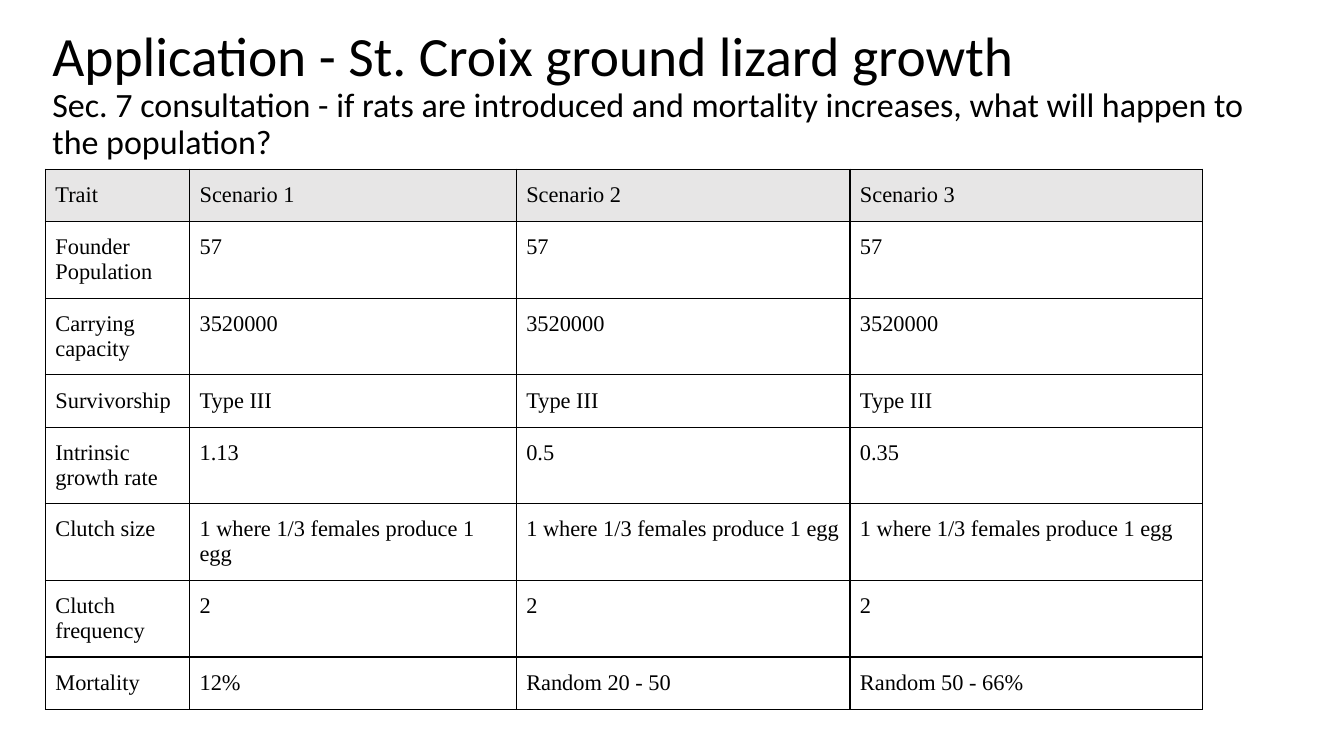
"""Build the lizard growth scenario slide."""
from dataclasses import dataclass

from lxml.etree import SubElement
from pptx import Presentation
from pptx.dml.color import RGBColor
from pptx.enum.text import MSO_ANCHOR as Anchor, MSO_AUTO_SIZE as Fit, PP_ALIGN as Align
from pptx.oxml.ns import qn
from pptx.util import Pt

SCALE = 9144
BLACK = RGBColor(0x00, 0x00, 0x00)
GREY = RGBColor(0xE7, 0xE6, 0xE6)
SERIF = "Times New Roman"
SANS = "Calibri"


@dataclass(frozen=True)
class Row:
    cells: tuple[str, ...]
    high: int = 76
    fill: RGBColor | None = None


COLS = (143, 324, 331, 350)
ROWS = (
    Row(("Trait", "Scenario 1", "Scenario 2", "Scenario 3"), 52, GREY),
    Row(("Founder Population",) + ("57",) * 3),
    Row(("Carrying capacity",) + ("3520000",) * 3),
    Row(("Survivorship",) + ("Type III",) * 3, 52),
    Row(("Intrinsic growth rate", "1.13", "0.5", "0.35")),
    Row(("Clutch size",) + ("1 where 1/3 females produce 1 egg",) * 3),
    Row(("Clutch frequency",) + ("2",) * 3),
    Row(("Mortality", "12%", "Random 20 - 50", "Random 50 - 66%"), 52),
)


def px(size: int) -> int:
    return size * SCALE


def write(para, text: str, *, size: float, font: str, space: float = 1.0) -> None:
    para.alignment = Align.LEFT
    para.line_spacing = space
    run = para.add_run()
    run.text = text
    run.font.size = Pt(size)
    run.font.name = font
    run.font.bold = False
    run.font.color.rgb = BLACK


def inset(box, side: int, end: int) -> None:
    box.margin_left = box.margin_right = px(side)
    box.margin_top = box.margin_bottom = px(end)


def edge(cell) -> None:
    props = cell._tc.get_or_add_tcPr()
    for spot, side in enumerate(("lnL", "lnR", "lnT", "lnB")):
        line = props.makeelement(qn(f"a:{side}"), {"w": str(Pt(1))})
        fill = SubElement(line, qn("a:solidFill"))
        SubElement(fill, qn("a:srgbClr"), val=str(BLACK))
        props.insert(spot, line)


def draw_title(slide) -> None:
    title = slide.shapes.title
    title.left, title.top, title.width, title.height = map(px, (45, 52, 1242, 84))
    frame = title.text_frame
    frame.word_wrap = True
    frame.auto_size = Fit.NONE
    frame.vertical_anchor = Anchor.MIDDLE
    inset(frame, 7, 7)
    write(frame.paragraphs[0], "Application - St. Croix ground lizard growth",
          size=39.6, font=SANS, space=0.9)
    write(frame.add_paragraph(),
          "Sec. 7 consultation - if rats are introduced and mortality increases, "
          "what will happen to the population?", size=24.3, font=SANS, space=0.9)


def draw_table(slide) -> None:
    high = sum(row.high for row in ROWS)
    table = slide.shapes.add_table(len(ROWS), len(COLS), px(45), px(168),
                                   px(sum(COLS)), px(high)).table
    table.first_row = table.horz_banding = False
    for col, wide in zip(table.columns, COLS):
        col.width = px(wide)
    for line, row in zip(table.rows, ROWS):
        line.height = px(row.high)
        for cell, text in zip(line.cells, row.cells):
            inset(cell, 10, 13)
            if row.fill is None:
                cell.fill.background()
            else:
                cell.fill.solid()
                cell.fill.fore_color.rgb = row.fill
            edge(cell)
            write(cell.text_frame.paragraphs[0], text, size=16, font=SERIF)


def main() -> None:
    deck = Presentation()
    deck.slide_width, deck.slide_height = px(1333), px(750)
    slide = deck.slides.add_slide(deck.slide_layouts[5])
    draw_title(slide)
    draw_table(slide)
    deck.save("out.pptx")


if __name__ == "__main__":
    main()
